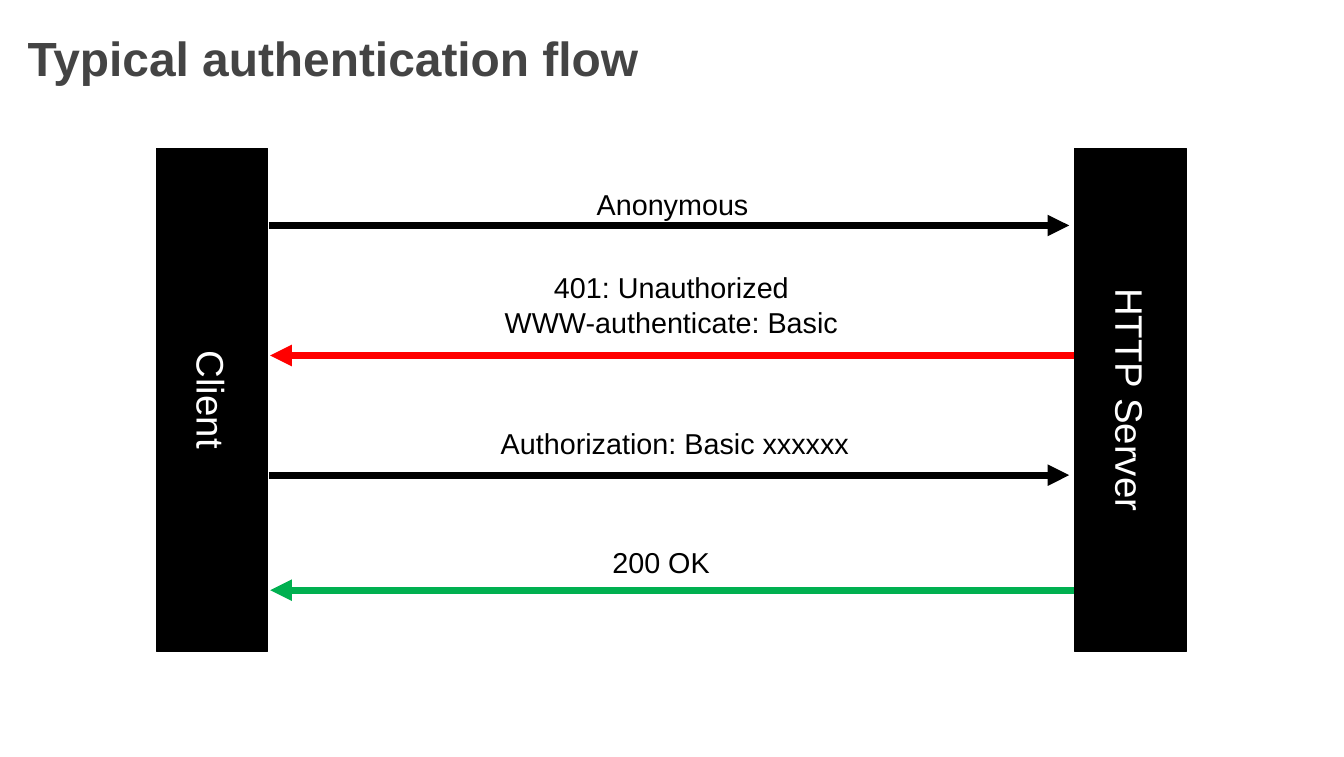
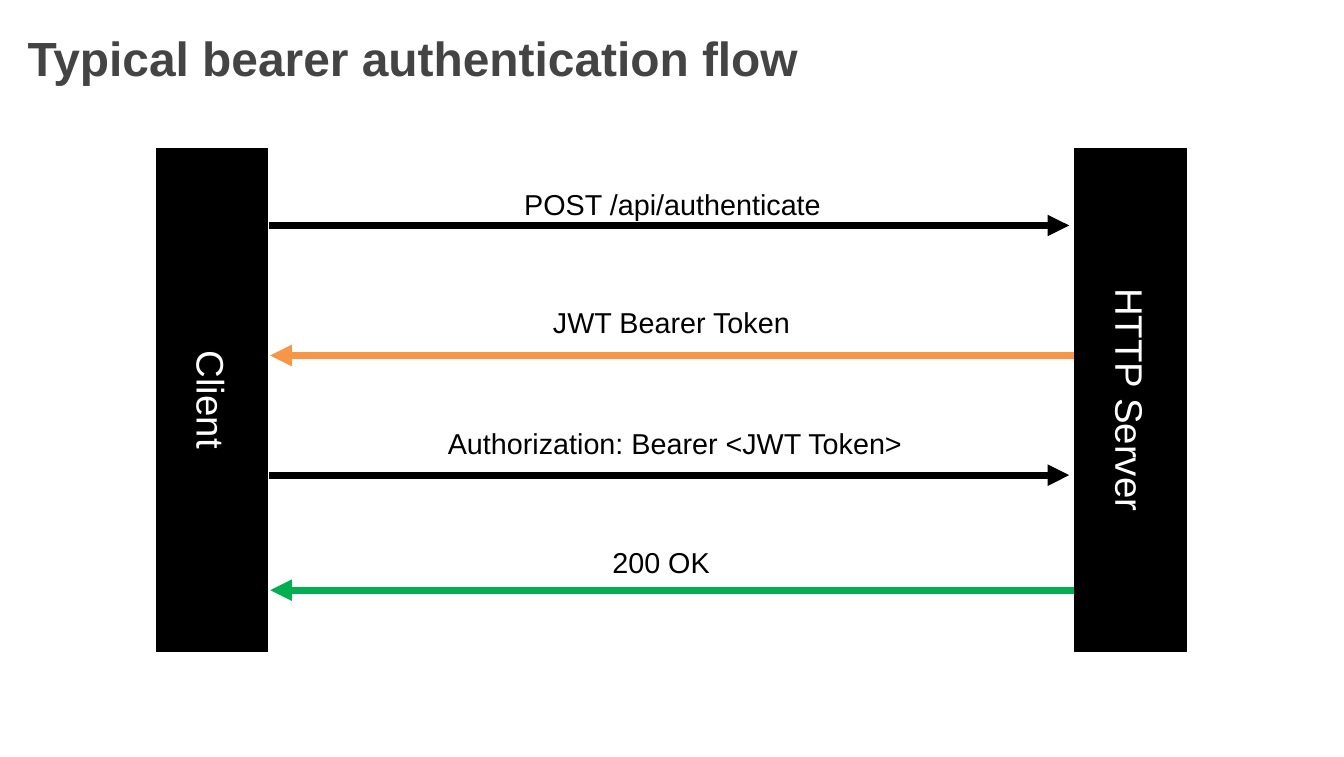
from lxml import etree
from pptx import Presentation
from pptx.dml.color import RGBColor
from pptx.enum.shapes import MSO_CONNECTOR, MSO_SHAPE
from pptx.enum.text import MSO_ANCHOR, MSO_AUTO_SIZE, PP_ALIGN
from pptx.oxml.ns import qn
from pptx.util import Inches, Pt

STRAIGHT = MSO_CONNECTOR.STRAIGHT
RECTANGLE = MSO_SHAPE.RECTANGLE
TOP, MIDDLE = MSO_ANCHOR.TOP, MSO_ANCHOR.MIDDLE
GROW = MSO_AUTO_SIZE.SHAPE_TO_FIT_TEXT
LEFT, CENTER = PP_ALIGN.LEFT, PP_ALIGN.CENTER

FONT = "Arial"
BLACK = RGBColor(0x00, 0x00, 0x00)
WHITE = RGBColor(0xFF, 0xFF, 0xFF)
GREY = RGBColor(0x44, 0x44, 0x44)
RED = RGBColor(0xFF, 0x00, 0x00)
ORANGE = RGBColor(0xF7, 0x96, 0x46)
GREEN = RGBColor(0x00, 0xB0, 0x50)

# Each message: text, label width in inches, arrow colour.
# Requests and responses alternate, starting with a request.
FLOWS = [
    ("Typical authentication flow", [
        ("Anonymous", 1.53, BLACK),
        ("401: Unauthorized\nWWW-authenticate: Basic", 3.13, RED),
        ("Authorization: Basic xxxxxx", 3.26, BLACK),
        ("200 OK", 1.06, GREEN),
    ]),
    ("Typical bearer authentication flow", [
        ("POST /api/authenticate", 2.81, BLACK),
        ("JWT Bearer Token", 2.28, ORANGE),
        ("Authorization: Bearer <JWT Token>", 4.19, BLACK),
        ("200 OK", 1.06, GREEN),
    ]),
]

# Each row: arrow height, label centre, label bottom, in inches.
ROWS = [(1.96, 5.85, 1.97), (3.09, 5.84, 3.0), (4.13, 5.87, 4.05), (5.13, 5.75, 5.09)]
REQUEST_SPAN = (2.34, 9.3)
RESPONSE_SPAN = (9.36, 2.35)
CLIENT_LEFT, SERVER_LEFT = 1.36, 9.35
PARTY_TOP, PARTY_WIDTH, PARTY_HEIGHT = 1.29, 0.97, 4.37
LABEL_PADDING, LABEL_LINE = 0.1, 0.3


def format_text(frame, size, color, alignment, bold=False):
    for para in frame.paragraphs:
        para.alignment = alignment
        for span in para.runs:
            span.font.name = FONT
            span.font.size = Pt(size)
            span.font.bold = bold
            span.font.color.rgb = color


def place_title(layout):
    """Give every slide of the layout the same title position."""
    title = layout.placeholders[0]
    title.left, title.top = Inches(0.24), Inches(0.2)
    title.width, title.height = Inches(11.23), Inches(0.69)


def set_title(slide, text):
    frame = slide.shapes.title.text_frame
    frame.text = text
    frame.vertical_anchor = TOP
    frame.margin_left = frame.margin_right = frame.margin_bottom = 0
    frame.margin_top = Inches(0.05)
    format_text(frame, 30, GREY, LEFT, bold=True)


def add_party(slide, name, left):
    """Draw one end of the conversation as a bar with vertical text."""
    bar = slide.shapes.add_shape(RECTANGLE, Inches(left), Inches(PARTY_TOP),
                                 Inches(PARTY_WIDTH), Inches(PARTY_HEIGHT))
    bar.shadow.inherit = False
    bar.fill.solid()
    bar.fill.fore_color.rgb = BLACK
    bar.line.color.rgb = BLACK
    bar.line.width = Pt(0.75)
    frame = bar.text_frame
    frame.text = name
    frame.vertical_anchor = MIDDLE
    frame._txBody.bodyPr.set("vert", "vert")
    format_text(frame, 24, WHITE, CENTER)


def add_arrow(slide, span, height, color):
    start, end = span
    arrow = slide.shapes.add_connector(STRAIGHT, Inches(start), Inches(height),
                                       Inches(end), Inches(height))
    arrow.line.color.rgb = color
    arrow.line.width = Pt(4.5)
    etree.SubElement(arrow.line._get_or_add_ln(), qn("a:tailEnd"), type="triangle")
    etree.SubElement(arrow._element.spPr, qn("a:effectLst"))


def add_label(slide, text, width, center, bottom):
    height = LABEL_PADDING + LABEL_LINE * len(text.split("\n"))
    box = slide.shapes.add_textbox(Inches(center - width / 2), Inches(bottom - height),
                                   Inches(width), Inches(height))
    frame = box.text_frame
    frame.text = text
    frame.word_wrap = False
    frame.auto_size = GROW
    format_text(frame, 18, BLACK, CENTER)


def add_flow(deck, layout, title, messages):
    slide = deck.slides.add_slide(layout)
    set_title(slide, title)
    add_party(slide, "Client", CLIENT_LEFT)
    for index, (message, row) in enumerate(zip(messages, ROWS)):
        text, width, color = message
        height, center, bottom = row
        add_arrow(slide, RESPONSE_SPAN if index % 2 else REQUEST_SPAN, height, color)
        add_label(slide, text, width, center, bottom)
    add_party(slide, "HTTP Server", SERVER_LEFT)


def main():
    deck = Presentation()
    deck.slide_width, deck.slide_height = Inches(11.69), Inches(6.58)
    layout = deck.slide_layouts.get_by_name("Title Only")
    place_title(layout)
    for title, messages in FLOWS:
        add_flow(deck, layout, title, messages)
    deck.save("out.pptx")


if __name__ == "__main__":
    main()
